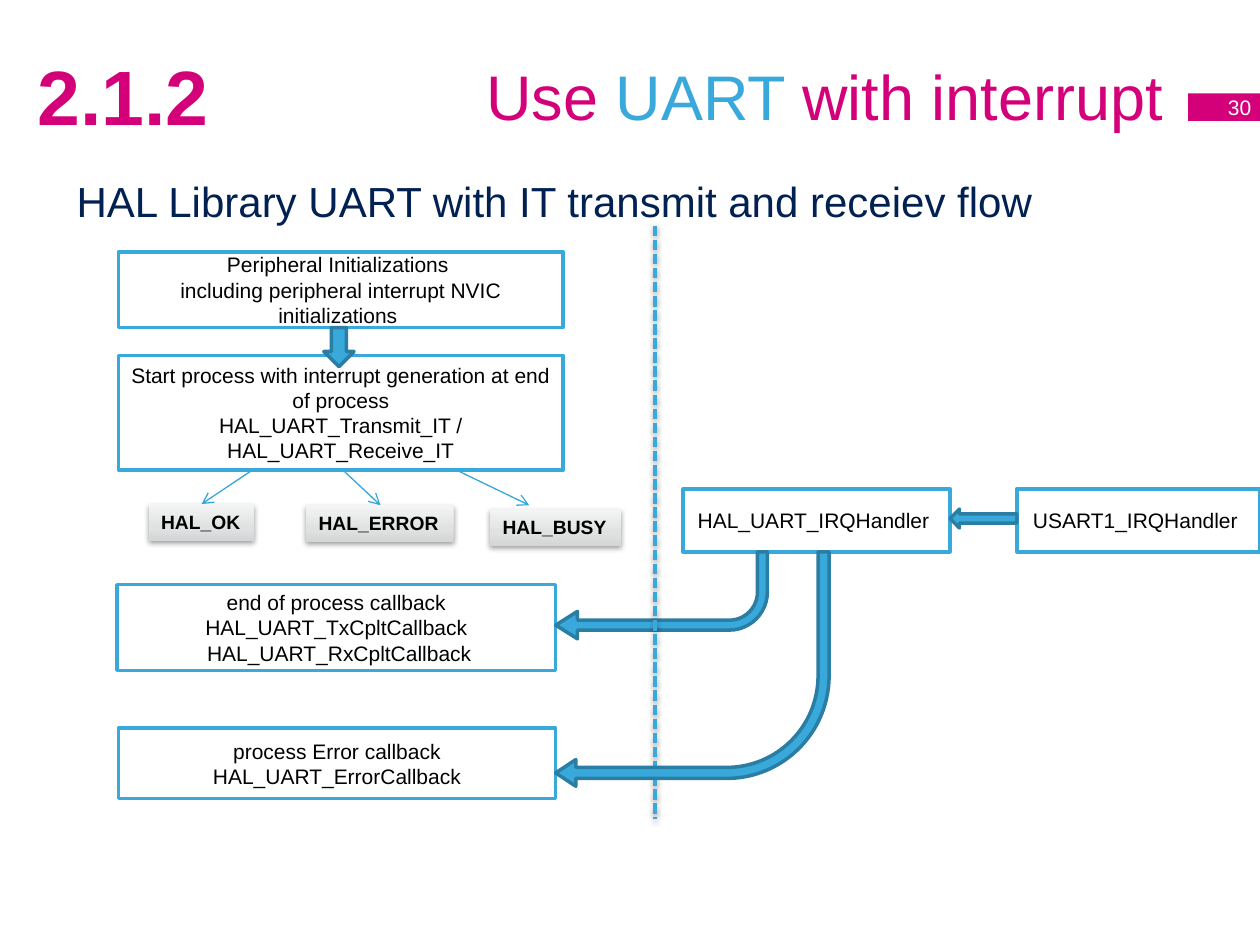
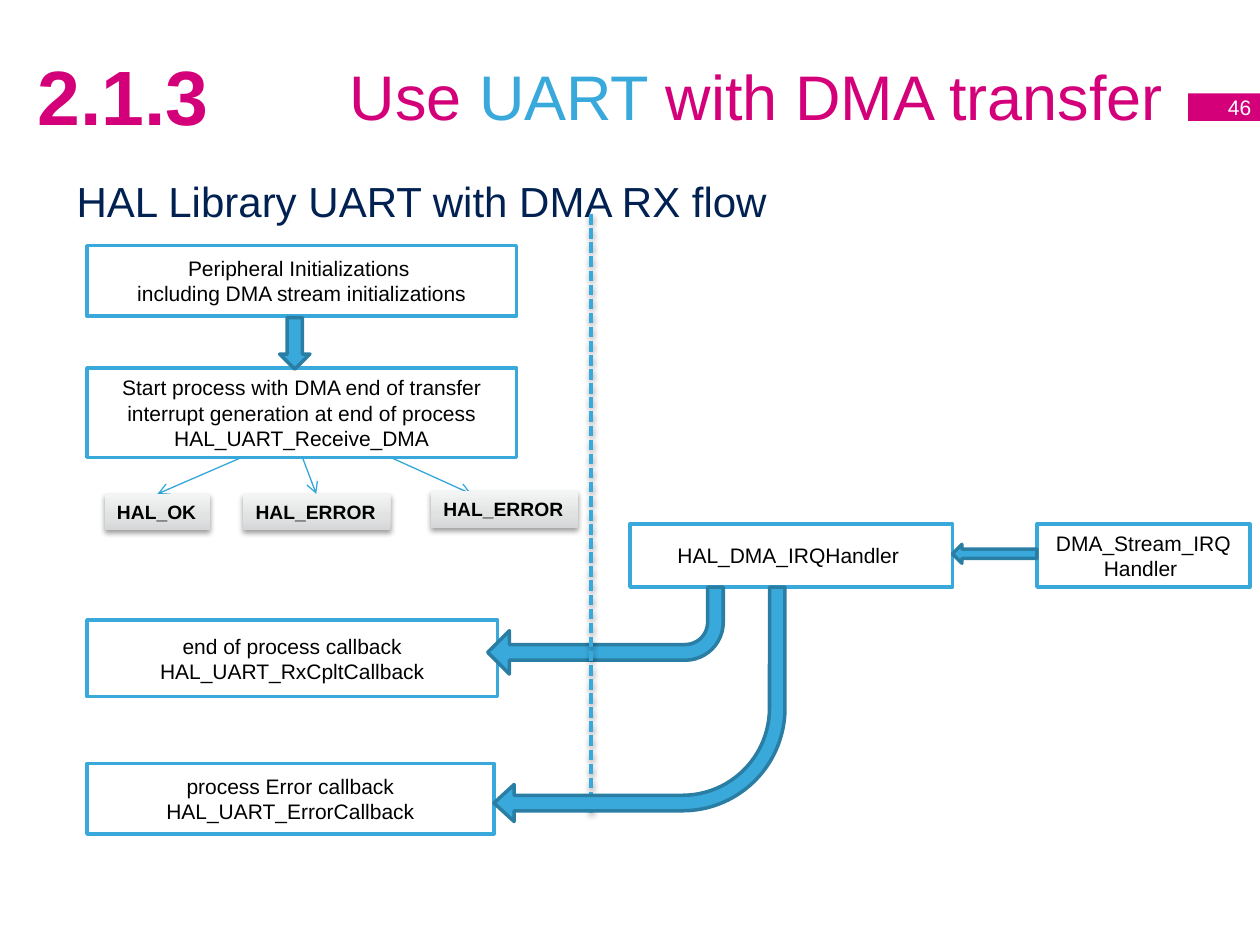
"""Build two flow slides on serial transfers with interrupt and DMA."""
from copy import deepcopy
from dataclasses import dataclass
from typing import Any

from lxml import etree
from pptx import Presentation
from pptx import util as u
from pptx.dml.color import RGBColor
from pptx.enum import dml, shapes, text
from pptx.oxml import ns

SCALE = 9144
HUES = {
    "pink": "D4007A", "blue": "39A9DC", "edge": "2A7DA3", "wire": "34A7DB",
    "navy": "002152", "white": "FFFFFF", "black": "000000",
    "low": "D4D6D7", "mid": "E0E2E2", "high": "F3F4F4",
}
FADE = ((0, "low"), (0.35, "mid"), (1, "high"))
KIND = shapes.MSO_SHAPE
LEFT, MID, RIGHT = text.PP_ALIGN.LEFT, text.PP_ALIGN.CENTER, text.PP_ALIGN.RIGHT
TITLE = {"size": u.Pt(36), "bold": False}
HEAD = {"size": u.Pt(24)}
BODY = {"size": u.Pt(12)}
CHIP = {"size": u.Pt(11), "bold": True}
CODE = {"size": u.Pt(44), "bold": True}
CENTER = {"word_wrap": True, "vertical_anchor": text.MSO_ANCHOR.MIDDLE}
TOP = {"word_wrap": True, "vertical_anchor": text.MSO_ANCHOR.TOP, "margin_top": 8 * SCALE}
TIGHT = {"word_wrap": False, "vertical_anchor": text.MSO_ANCHOR.TOP}

Runs = list[tuple[str, str]]


@dataclass(frozen=True)
class Area:
    """A place on the slide, in px."""
    x: int
    y: int
    w: int
    h: int

    def emu(self) -> list[int]:
        """Give the place in EMU."""
        return [n * SCALE for n in (self.x, self.y, self.w, self.h)]


@dataclass(frozen=True)
class Box:
    """A framed step with its lines of text."""
    area: Area
    lines: tuple[str, ...]


@dataclass(frozen=True)
class Arrow:
    """A block arrow with its turn and adjustments."""
    kind: Any
    area: Area
    turn: int = 0
    bends: tuple[float, ...] = ()


@dataclass(frozen=True)
class Line:
    """A straight line between two points, in px."""
    x1: int
    y1: int
    x2: int
    y2: int


@dataclass(frozen=True)
class Flow:
    """All that differs between the slides."""
    code: str
    page: str
    title: Runs
    head: str
    boxes: list[Box]
    arrows: list[Arrow]
    split: Line
    chips: list[Box]
    wires: list[Line]


def put(item: Any, vals: dict[str, Any]) -> None:
    """Set attributes from a dict."""
    for key, val in vals.items():
        setattr(item, key, val)


def tint(hue: str) -> RGBColor:
    """Look up a colour."""
    return RGBColor.from_string(HUES[hue])


def write(frame: Any, rows: list[Runs], font: dict, form: dict, side: Any) -> None:
    """Fill a text frame, one paragraph a row."""
    put(frame, form)
    for i, row in enumerate(rows):
        para = frame.add_paragraph() if i else frame.paragraphs[0]
        para.alignment = side
        for words, hue in row:
            run = para.add_run()
            run.text = words
            put(run.font, {"name": "Arial", **font})
            run.font.color.rgb = tint(hue)


def label(slide: Any, area: Area, words: str, hue: str, font: dict, form: dict) -> None:
    """Add a left-aligned text box."""
    box = slide.shapes.add_textbox(*area.emu())
    write(box.text_frame, [[(words, hue)]], font, form, LEFT)


def block(slide: Any, kind: Any, area: Area, fill: str = "", edge: str = "") -> Any:
    """Add a flat preset shape."""
    shape = slide.shapes.add_shape(kind, *area.emu())
    shape.shadow.inherit = False
    if fill:
        shape.fill.solid()
        shape.fill.fore_color.rgb = tint(fill)
    if edge:
        shape.line.color.rgb = tint(edge)
        shape.line.width = u.Pt(2)
    else:
        shape.line.fill.background()
    return shape


def shade(effects: Any) -> None:
    """Add a soft shadow below."""
    vals = {"blurRad": "40000", "dist": "20000", "dir": "5400000", "rotWithShape": "0"}
    cast = etree.SubElement(effects, ns.qn("a:outerShdw"), vals)
    tone = etree.SubElement(cast, ns.qn("a:srgbClr"), val=HUES["black"])
    etree.SubElement(tone, ns.qn("a:alpha"), val="38000")


def step(slide: Any, box: Box) -> None:
    """Draw a framed step."""
    shape = block(slide, KIND.RECTANGLE, box.area, "white", "blue")
    write(shape.text_frame, [[(row, "black")] for row in box.lines], BODY, CENTER, MID)


def chip(slide: Any, box: Box) -> None:
    """Draw a shaded return value."""
    shape = block(slide, KIND.RECTANGLE, box.area)
    shape.fill.gradient()
    shape.fill.gradient_angle = 90
    stop = shape.element.find(".//" + ns.qn("a:gs"))
    stop.addnext(deepcopy(stop))
    for mark, (place, hue) in zip(shape.fill.gradient_stops, FADE):
        mark.position = place
        mark.color.rgb = tint(hue)
    shade(shape.element.spPr.find(ns.qn("a:effectLst")))
    write(shape.text_frame, [[(row, "black")] for row in box.lines], CHIP, TIGHT, LEFT)


def point(slide: Any, arrow: Arrow) -> None:
    """Draw a block arrow."""
    shape = block(slide, arrow.kind, arrow.area, "blue", "edge")
    shape.rotation = arrow.turn
    for i, bend in enumerate(arrow.bends):
        shape.adjustments[i] = bend


def link(slide: Any, line: Line, hue: str, width: float) -> tuple[Any, Any]:
    """Draw a line and give it with its effect list."""
    ends = [n * SCALE for n in (line.x1, line.y1, line.x2, line.y2)]
    wire = slide.shapes.add_connector(shapes.MSO_CONNECTOR.STRAIGHT, *ends)
    wire.line.color.rgb = tint(hue)
    wire.line.width = u.Pt(width)
    return wire, etree.SubElement(wire.element.spPr, ns.qn("a:effectLst"))


def frame(slide: Any, flow: Flow) -> None:
    """Draw title, heading, page band and section code."""
    title = slide.shapes.title
    put(title, dict(zip(("left", "top", "width", "height"), Area(50, 13, 883, 125).emu())))
    write(title.text_frame, [flow.title], TITLE, CENTER, RIGHT)
    label(slide, Area(51, 131, 900, 140), flow.head, "navy", HEAD, TOP)
    band = block(slide, KIND.RECTANGLE, Area(943, 74, 60, 22), "pink")
    write(band.text_frame, [[(flow.page, "white")]], BODY, CENTER, RIGHT)
    label(slide, Area(20, 13, 189, 125), flow.code, "pink", CODE, CENTER)


def draw(slide: Any, flow: Flow) -> None:
    """Draw one flow slide."""
    frame(slide, flow)
    for box in flow.boxes:
        step(slide, box)
    *first, last = flow.arrows
    for arrow in first:
        point(slide, arrow)
    split, effects = link(slide, flow.split, "blue", 2)
    split.line.dash_style = dml.MSO_LINE.SQUARE_DOT
    shade(effects)
    point(slide, last)
    for line in flow.wires:
        wire, _ = link(slide, line, "wire", 0.75)
        etree.SubElement(wire.line._get_or_add_ln(), ns.qn("a:tailEnd"), type="arrow")
    for box in flow.chips:
        chip(slide, box)


FLOWS = [
    Flow(
        "2.1.2", "30",
        [("Use ", "pink"), ("UART ", "blue"), ("with interrupt", "pink")],
        "HAL Library UART with IT transmit and receiev flow",
        [
            Box(Area(94, 282, 353, 91), (
                "Start process with interrupt generation at end of process",
                "HAL_UART_Transmit_IT / HAL_UART_Receive_IT")),
            Box(Area(94, 200, 353, 60), (
                "Peripheral Initializations ",
                "including peripheral interrupt NVIC initializations ")),
            Box(Area(542, 388, 212, 50), ("HAL_UART_IRQHandler ",)),
            Box(Area(93, 464, 348, 68), (
                "end of process callback", "HAL_UART_TxCpltCallback",
                " HAL_UART_RxCpltCallback")),
            Box(Area(94, 578, 347, 56), ("process Error callback", "HAL_UART_ErrorCallback")),
            Box(Area(807, 388, 193, 50), ("USART1_IRQHandler ",)),
        ],
        [
            Arrow(KIND.DOWN_ARROW, Area(257, 260, 24, 31)),
            Arrow(KIND.LEFT_ARROW, Area(754, 404, 73 - 20, 15)),
            Arrow(KIND.BENT_ARROW, Area(441, 438, 168, 69), 180, (0.114, 0.158, 0.25, 0.438)),
            Arrow(KIND.BENT_ARROW, Area(441, 438, 217, 186), 180, (0.047, 0.057, 0.086, 0.438)),
        ],
        Line(520, 179, 520, 650),
        [
            Box(Area(118, 400, 84, 29), ("HAL_OK",)),
            Box(Area(243, 401, 117, 29), ("HAL_ERROR",)),
            Box(Area(389, 404, 104, 29), ("HAL_BUSY",)),
        ],
        [Line(202, 372, 160, 400), Line(271, 372, 302, 401), Line(360, 372, 420, 401)],
    ),
    Flow(
        "2.1.3", "46",
        [("Use", "pink"), (" UART ", "blue"), ("with DMA transfer", "pink")],
        "HAL Library UART with DMA RX flow",
        [
            Box(Area(69, 292, 341, 71), (
                "Start process with DMA end of transfer interrupt generation at end of process",
                "HAL_UART_Receive_DMA")),
            Box(Area(69, 195, 341, 56), (
                "Peripheral Initializations ", "including DMA stream initializations")),
            Box(Area(500, 416, 256, 50), ("HAL_DMA_IRQHandler ",)),
            Box(Area(69, 492, 326, 61), ("end of process callback", "HAL_UART_RxCpltCallback")),
            Box(Area(69, 606, 323, 56), ("process Error callback", "HAL_UART_ErrorCallback")),
            Box(Area(823, 416, 169, 50), ("DMA_Stream_IRQHandler ",)),
        ],
        [
            Arrow(KIND.DOWN_ARROW, Area(222, 252, 24, 41)),
            Arrow(KIND.LEFT_ARROW, Area(756, 432, 67, 15)),
            Arrow(KIND.BENT_ARROW, Area(387, 466, 187, 69), 180, (0.18, 0.25, 0.25, 0.438)),
            Arrow(KIND.BENT_ARROW, Area(392, 466, 231, 186), 180, (0.066, 0.079, 0.086, 0.438)),
        ],
        Line(469, 170, 469, 645),
        [
            Box(Area(83, 392, 84, 29), ("HAL_OK",)),
            Box(Area(193, 392, 117, 29), ("HAL_ERROR",)),
            Box(Area(342, 390, 117, 29), ("HAL_ERROR",)),
        ],
        [Line(192, 363, 125, 392), Line(240, 363, 251, 392), Line(310, 363, 374, 392)],
    ),
]


def main() -> None:
    """Build and save the slides."""
    deck = Presentation()
    put(deck, {"slide_width": 1000 * SCALE, "slide_height": 750 * SCALE})
    for flow in FLOWS:
        draw(deck.slides.add_slide(deck.slide_layouts[5]), flow)
    deck.save("out.pptx")


if __name__ == "__main__":
    main()
